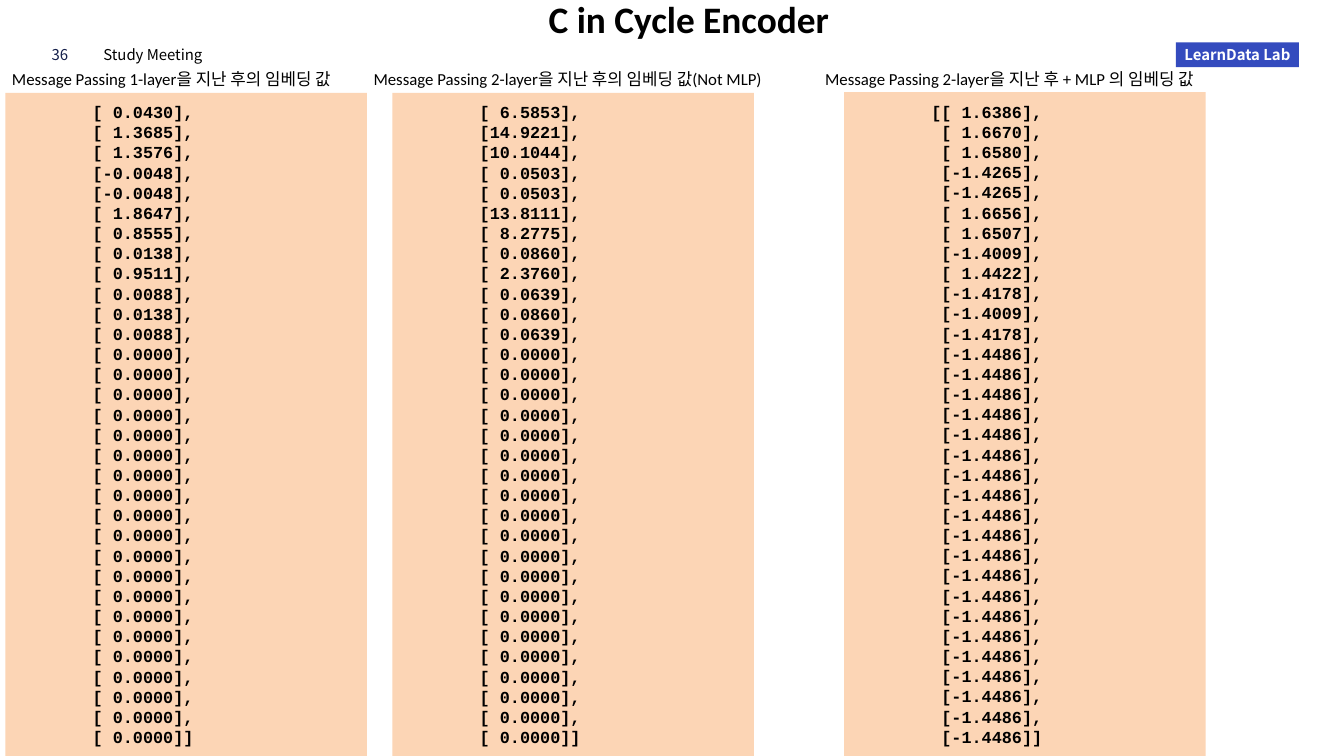
from dataclasses import dataclass

from lxml import etree
from pptx import Presentation
from pptx.dml.color import RGBColor
from pptx.enum.shapes import MSO_SHAPE
from pptx.enum.text import MSO_ANCHOR, MSO_AUTO_SIZE, PP_ALIGN
from pptx.oxml.ns import qn
from pptx.util import Inches, Pt

SLIDE_W, SLIDE_H = Inches(20), Inches(11.25)
RECTANGLE = MSO_SHAPE.RECTANGLE
TOP, MIDDLE = MSO_ANCHOR.TOP, MSO_ANCHOR.MIDDLE
LEFT, CENTER = PP_ALIGN.LEFT, PP_ALIGN.CENTER
NO_FIT = MSO_AUTO_SIZE.NONE
HANGUL_FONT = "Noto Sans CJK KR"
BLACK, WHITE, NAVY = "000000", "FFFFFF", "121D49"
PEACH, ROYAL = "FCD5B5", "344BBE"
NODE_COUNT = 32
HEADER_TOP, HEADER_H = 5.6, 3.29
LABEL_H, PANEL_W = 3.65, 26.9


@dataclass(frozen=True)
class Area:
    """Percent shares of the slide's width and height."""
    left: float
    top: float
    width: float
    height: float

    def emu(self) -> tuple[int, ...]:
        return (int(SLIDE_W * self.left / 100), int(SLIDE_H * self.top / 100),
                int(SLIDE_W * self.width / 100), int(SLIDE_H * self.height / 100))


@dataclass(frozen=True)
class Style:
    size: float
    font: str
    color: str = BLACK
    bold: bool = False
    align: PP_ALIGN = LEFT
    line_pitch: float | None = None


@dataclass(frozen=True)
class Embedding:
    label: str
    label_left: float
    label_width: float
    panel_left: float
    panel_top: float
    opening: str
    values: tuple[float, ...]
    filler: float

    def lines(self) -> list[str]:
        padded = self.values + (self.filler,) * (NODE_COUNT - len(self.values))
        rows = [f"{' ' * (8 + len(self.opening))}[{value:7.4f}]," for value in padded]
        rows[0] = f"{' ' * 8}{self.opening}[{padded[0]:7.4f}],"
        rows[-1] = rows[-1].replace(",", "]")
        return rows


HEADER = Style(16, HANGUL_FONT)
PAGE = Style(16, HANGUL_FONT, NAVY)
BADGE = Style(16, HANGUL_FONT, WHITE, True, CENTER)
LABEL = Style(18, "Calibri")
TENSOR = Style(18, "Courier New", bold=True, line_pitch=21.6)
TITLE = Style(40, "Calibri", bold=True, align=CENTER)

EMBEDDINGS = (
    Embedding("Message Passing 1-layer을 지난 후의 임베딩 값", 0.4, 29.5, 0.4, 12.27, "",
              (0.0430, 1.3685, 1.3576, -0.0048, -0.0048, 1.8647,
               0.8555, 0.0138, 0.9511, 0.0088, 0.0138, 0.0088), 0),
    Embedding("Message Passing 2-layer을 지난 후의 임베딩 값(Not MLP)", 27.3, 34.1, 29.2, 12.27, "",
              (6.5853, 14.9221, 10.1044, 0.0503, 0.0503, 13.8111,
               8.2775, 0.0860, 2.3760, 0.0639, 0.0860, 0.0639), 0),
    Embedding("Message Passing 2-layer을 지난 후 + MLP 의 임베딩 값", 60.9, 34.1, 62.8, 12.18, "[",
              (1.6386, 1.6670, 1.6580, -1.4265, -1.4265, 1.6656,
               1.6507, -1.4009, 1.4422, -1.4178, -1.4009, -1.4178), -1.4486),
)


def rgb(color: str) -> RGBColor:
    return RGBColor.from_string(color)


def write(frame, lines: list[str], style: Style, anchor=TOP, wrap: bool = True) -> None:
    frame.auto_size = NO_FIT
    frame.word_wrap = wrap
    frame.vertical_anchor = anchor
    frame.margin_left = frame.margin_right = Inches(0.1)
    frame.margin_top = frame.margin_bottom = Inches(0.05)
    for index, line in enumerate(lines):
        paragraph = frame.add_paragraph() if index else frame.paragraphs[0]
        paragraph.alignment = style.align
        if style.line_pitch:
            paragraph.line_spacing = Pt(style.line_pitch)
        run = paragraph.add_run()
        run.text = line
        run.font.size = Pt(style.size)
        run.font.name = style.font
        run.font.bold = style.bold
        run.font.color.rgb = rgb(style.color)
        east_asian = etree.SubElement(run.font._element, qn("a:ea"))
        east_asian.set("typeface", HANGUL_FONT)


def add_text(slide, area: Area, text: str, style: Style) -> None:
    write(slide.shapes.add_textbox(*area.emu()).text_frame, [text], style)


def add_panel(slide, area: Area, fill: str, lines: list[str], style: Style, anchor) -> None:
    panel = slide.shapes.add_shape(RECTANGLE, *area.emu())
    panel.shadow.inherit = False
    panel.fill.solid()
    panel.fill.fore_color.rgb = rgb(fill)
    panel.line.fill.background()
    write(panel.text_frame, lines, style, anchor)


def add_embedding(slide, embedding: Embedding) -> None:
    label_area = Area(embedding.label_left, embedding.panel_top - 3.56,
                      embedding.label_width, LABEL_H)
    panel_area = Area(embedding.panel_left, embedding.panel_top,
                      PANEL_W, 100 - embedding.panel_top)
    add_text(slide, label_area, embedding.label, LABEL)
    add_panel(slide, panel_area, PEACH, embedding.lines(), TENSOR, MIDDLE)


def main() -> None:
    deck = Presentation()
    deck.slide_width, deck.slide_height = SLIDE_W, SLIDE_H
    slide = deck.slides.add_slide(deck.slide_layouts[5])

    title = slide.shapes.title
    title.left, title.top, title.width, title.height = Area(40.2, -0.98, 22.1, 6.84).emu()
    write(title.text_frame, ["C in Cycle Encoder"], TITLE, wrap=False)

    add_text(slide, Area(3.35, HEADER_TOP, 2.9, HEADER_H), "36", PAGE)
    add_text(slide, Area(7.2, HEADER_TOP, 11.25, HEADER_H), "Study Meeting", HEADER)
    add_panel(slide, Area(87.5, HEADER_TOP, 9.15, HEADER_H), ROYAL,
              ["LearnData Lab"], BADGE, TOP)
    for embedding in EMBEDDINGS:
        add_embedding(slide, embedding)

    deck.save("out.pptx")


if __name__ == "__main__":
    main()
